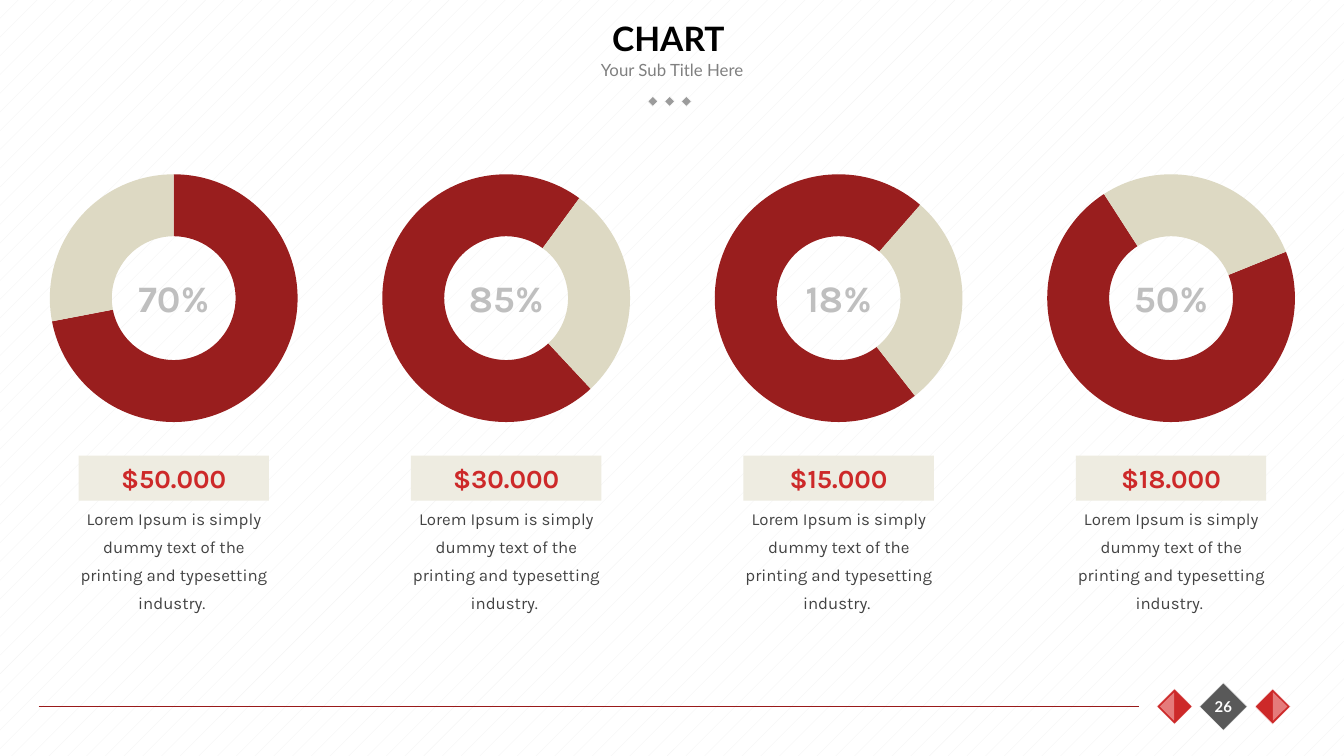
from pptx import Presentation
from pptx.chart.data import CategoryChartData
from pptx.dml.color import RGBColor
from pptx.enum.chart import XL_CHART_TYPE
from pptx.enum.dml import MSO_PATTERN
from pptx.enum.shapes import MSO_CONNECTOR, MSO_SHAPE
from pptx.enum.text import MSO_ANCHOR, PP_ALIGN
from pptx.oxml import parse_xml
from pptx.oxml.ns import nsdecls, qn
from pptx.util import Pt

DOUGHNUT = XL_CHART_TYPE.DOUGHNUT
RECT = MSO_SHAPE.RECTANGLE
TRIANGLE = MSO_SHAPE.FLOWCHART_EXTRACT
STRAIGHT = MSO_CONNECTOR.STRAIGHT
PERCENT_5 = MSO_PATTERN.PERCENT_5
TOP, MIDDLE = MSO_ANCHOR.TOP, MSO_ANCHOR.MIDDLE
CENTER = PP_ALIGN.CENTER

COLORS = {
    "white": "FFFFFF", "black": "000000", "pattern": "F2F2F2",
    "dot": "9B9B9B", "subtitle": "808080", "rule": "991A1A",
    "badge": "595959", "red": "CD2929", "pink": "E57B7B",
    "ring": "991E1E", "rest": "DDD9C3", "percent": "BFBFBF",
    "banner": "EEECE1", "body": "434343",
}
BODY = "Lorem Ipsum is simply dummy text of the printing and typesetting industry. "
COLUMNS = [
    ("70%", 0, "$50.000"),
    ("85%", 137, "$30.000"),
    ("18%", 142, "$15.000"),
    ("50%", 68, "$18.000"),
]
SHARES = (72, 28)
RING = 132.8


def rgb(name):
    return RGBColor.from_string(COLORS[name])


def write(sp, text, font, size, color, bold=False, anchor=MIDDLE):
    tf = sp.text_frame
    tf.word_wrap = True
    tf.vertical_anchor = anchor
    p = tf.paragraphs[0]
    p.text = text
    p.alignment = CENTER
    f = p.runs[0].font
    f.name, f.size, f.bold = font, Pt(size), bold
    f.color.rgb = rgb(color)
    return p


def add_text(slide, box, *args, **kwargs):
    sp = slide.shapes.add_textbox(*map(Pt, box))
    return write(sp, *args, **kwargs)


def add_shape(slide, kind, box, fill, rotation=0, outline=False):
    sp = slide.shapes.add_shape(kind, *map(Pt, box))
    sp.shadow.inherit = False
    sp.rotation = rotation
    sp.fill.solid()
    sp.fill.fore_color.rgb = rgb(fill)
    if outline:
        sp.line.color.rgb = rgb("white")
        sp.line.width = Pt(0.25)
    else:
        sp.line.fill.background()
    return sp


def add_diamond(slide, cx, cy, side, fill):
    box = (cx - side / 2, cy - side / 2, side, side)
    return add_shape(slide, RECT, box, fill, 315, True)


def add_header(slide, x, y, w):
    add_text(slide, (x, y, w, 40.5), "CHART ", "Lato", 18, "black", True)
    add_text(slide, (x + w / 2 - 90, y + 28.5, 180, 18),
             "Your Sub Title Here", "Lato", 9, "subtitle")
    for i in (-1, 0, 1):
        add_diamond(slide, x + w / 2 - 1.2 + 9 * i, y + 54.3, 3.8, "dot")


def add_arrow(slide, cx, cy, direction):
    add_diamond(slide, cx, cy, 13.4, "red")
    w, h = 15.2, 7.7
    box = (cx + direction * 4 - w / 2, cy - h / 2, w, h)
    add_shape(slide, TRIANGLE, box, "pink", 90 * direction)


def add_footer(slide, x, y, w):
    rule = slide.shapes.add_connector(STRAIGHT, Pt(x), Pt(y), Pt(x + w), Pt(y))
    rule.line.color.rgb = rgb("rule")
    rule.line.width = Pt(0.75)
    sp_pr = rule._element.spPr
    sp_pr.append(parse_xml(f"<a:effectLst {nsdecls('a')}/>"))
    cx = x + w + 45
    add_diamond(slide, cx, y, 18, "badge")
    add_arrow(slide, cx + 26.4, y, 1)
    add_arrow(slide, cx - 26.2, y, -1)
    add_text(slide, (cx - 15, y - 9, 30, 18), "26", "Lato", 8, "white", True)


def add_ring(slide, x, y, w, h, start):
    data = CategoryChartData()
    data.categories = ["1", "2"]
    data.add_series("Series 1", SHARES)
    chart = slide.shapes.add_chart(DOUGHNUT, Pt(x), Pt(y), Pt(w), Pt(h), data).chart
    chart.has_legend = False
    chart.has_title = False
    chart.font.name, chart.font.size = "Karla", Pt(18)
    chart.font.color.rgb = rgb("black")
    points = chart.plots[0].series[0].points
    for i, color in enumerate(("ring", "rest")):
        fill = points[i].format.fill
        fill.solid()
        fill.fore_color.rgb = rgb(color)

    root = chart.element
    root.find(qn("c:chart")).addnext(parse_xml(
        f"<c:spPr {nsdecls('c', 'a')}><a:noFill/><a:ln><a:noFill/></a:ln></c:spPr>"))
    next(root.iter(qn("c:firstSliceAng"))).set("val", str(start))
    next(root.iter(qn("c:holeSize"))).set("val", "80")
    area = next(root.iter(qn("c:plotArea")))
    for layout in area.findall(qn("c:layout")):
        area.remove(layout)
    rw, rh = RING / w, RING / h
    values = {"x": (1 - rw) / 2, "y": (1 - rh) / 2, "w": rw, "h": rh}
    parts = "".join(f'<c:{k} val="{v:.4f}"/>' for k, v in values.items())
    area.insert(0, parse_xml(
        f'<c:layout {nsdecls("c")}><c:manualLayout><c:layoutTarget val="inner"/>'
        f'<c:xMode val="edge"/><c:yMode val="edge"/>{parts}'
        "</c:manualLayout></c:layout>"))


def add_column(slide, x, y, w, percent, start, price):
    cx = x + w / 2
    add_ring(slide, x, y, w, 152.6, start)
    add_text(slide, (cx - 40, y + 60.5, 80, 31.5), percent,
             "Karla", 20, "percent", True, TOP)
    banner = add_shape(slide, RECT, (cx - 51, y + 160.6, 102, 24.2), "banner")
    write(banner, price, "Karla", 14, "red", True)
    p = add_text(slide, (cx - 59.4, y + 181.5, 118.8, 52.6), BODY,
                 "Karla", 9, "body", anchor=TOP)
    p.line_spacing = Pt(15)


def main():
    prs = Presentation()
    prs.slide_width, prs.slide_height = Pt(720), Pt(405)
    slide = prs.slides.add_slide(prs.slide_layouts[6])
    fill = slide.background.fill
    fill.patterned()
    fill.pattern = PERCENT_5
    fill.fore_color.rgb = rgb("pattern")
    fill.back_color.rgb = rgb("white")
    add_header(slide, 54, 0, 612)
    add_footer(slide, 20.7, 378.5, 589.7)
    for i, column in enumerate(COLUMNS):
        add_column(slide, 7.8 + 178.1 * i, 83.5, 170.6, *column)
    prs.save("out.pptx")


if __name__ == "__main__":
    main()
